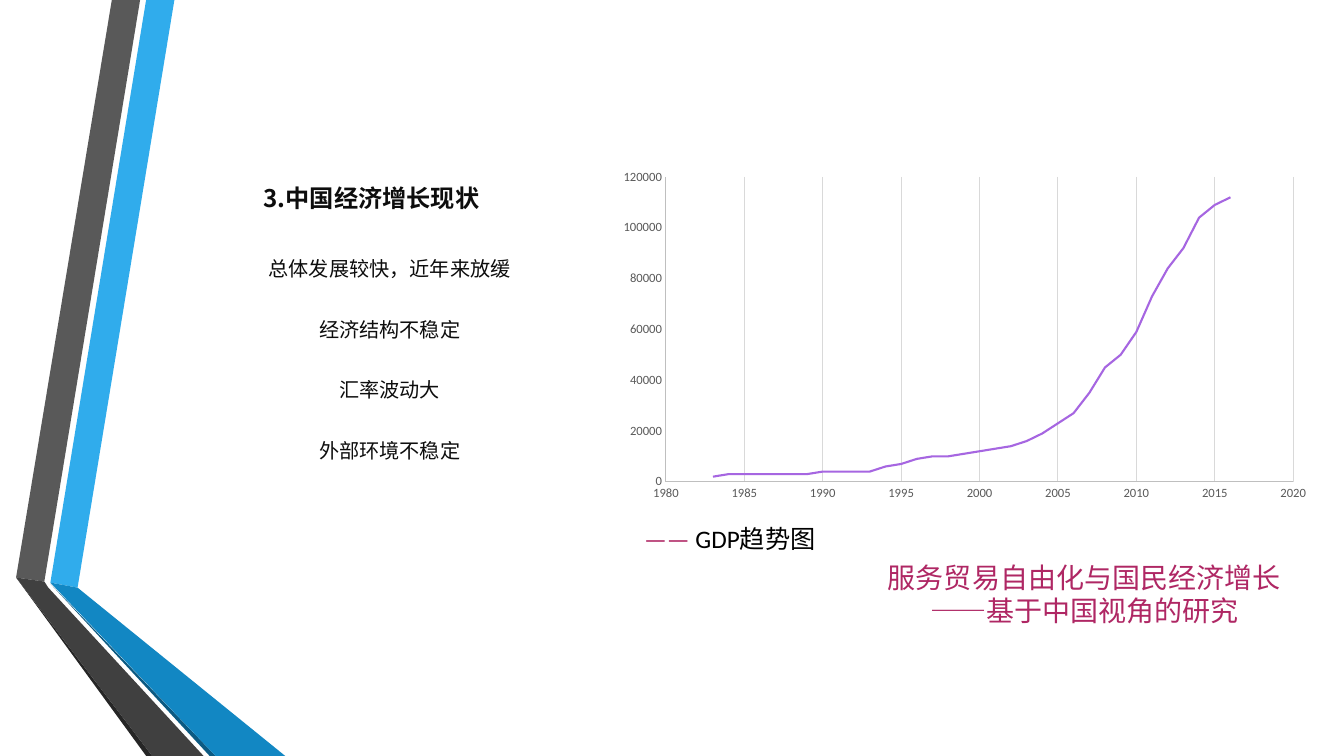
"""Build the slide on the state of China's economic growth."""
from dataclasses import dataclass

from lxml.etree import SubElement
from pptx import Presentation
from pptx.chart.data import XyChartData
from pptx.dml.color import RGBColor
from pptx.enum.chart import XL_CHART_TYPE as ChartType, XL_TICK_MARK as Tick
from pptx.enum.text import MSO_ANCHOR as Anchor, PP_ALIGN as Align
from pptx.oxml import parse_xml
from pptx.oxml.ns import nsdecls, qn
from pptx.util import Inches, Pt


@dataclass(frozen=True)
class Theme:
    """Colours, fonts and type sizes."""
    gray: str = "595959"
    gray_dark: str = "404040"
    gray_edge: str = "262626"
    blue: str = "30ACEC"
    blue_dark: str = "1287C3"
    blue_edge: str = "0C5A82"
    accent: str = "AF2764"
    ink: str = "0D0D0D"
    black: str = "000000"
    axis: str = "BFBFBF"
    grid: str = "D9D9D9"
    curve: str = "A666E1"
    latin: str = "Calibri"
    cjk: str = "Noto Sans CJK SC"
    subtitle: float = 20
    heading: float = 21.6
    body: float = 18
    tick: float = 9


@dataclass(frozen=True)
class Band:
    """A filled polygon with corners in inches."""
    color: str
    points: tuple


@dataclass(frozen=True)
class Line:
    """A centred paragraph of the main text."""
    text: str
    size: float
    bold: bool = False
    before: float = 21.6
    left: float = 0.36


T = Theme()

BANDS = (
    Band(T.blue, ((0.5, 5.78), (0.77, 5.83), (1.73, 0), (1.45, 0))),
    Band(T.gray, ((1.39, 0), (1.11, 0), (0.16, 5.73), (0.44, 5.77))),
    Band(T.gray_edge, ((0.16, 5.73), (1.45, 7.5), (1.51, 7.5))),
    Band(T.blue_edge, ((0.5, 5.79), (2.08, 7.5), (2.14, 7.5))),
    Band(T.blue_dark, ((0.5, 5.78), (2.14, 7.5), (2.83, 7.5), (0.77, 5.83))),
    Band(T.gray_dark, ((2.02, 7.5), (0.48, 5.83), (0.44, 5.77), (0.16, 5.73), (1.51, 7.5))),
)

LINES = (
    Line("3.中国经济增长现状", T.heading, True, 0, 0),
    Line("总体发展较快，近年来放缓", T.body, before=27),
    Line("经济结构不稳定", T.body),
    Line("汇率波动大", T.body),
    Line("外部环境不稳定", T.body),
)

FIRST_YEAR = 1983
GDP = (2000, 3000, 3000, 3000, 3000, 3000, 3000, 4000, 4000, 4000, 4000, 6000,
       7000, 9000, 10000, 10000, 11000, 12000, 13000, 14000, 16000, 19000,
       23000, 27000, 35000, 45000, 50000, 59000, 73000, 84000, 92000, 104000,
       109000, 112000)


def rgb(color: str) -> RGBColor:
    """Turn a hex string into a colour."""
    return RGBColor.from_string(color)


def style(font, size: float, color: str, name: str = T.latin) -> None:
    """Set the size, colour and typeface of a font."""
    font.size = Pt(size)
    font.color.rgb = rgb(color)
    font.name = name


def stroke(line, color: str, width: float) -> None:
    """Set the colour and width of a line."""
    line.color.rgb = rgb(color)
    line.width = Pt(width)


def add_band(s, band: Band) -> None:
    """Draw one polygon of the side ribbon."""
    first, *rest = [(Inches(x), Inches(y)) for x, y in band.points]
    builder = s.shapes.build_freeform(*first)
    builder.add_line_segments(rest, close=True)
    sp = builder.convert_to_shape()
    sp.shadow.inherit = False
    sp.fill.solid()
    sp.fill.fore_color.rgb = rgb(band.color)
    sp.line.fill.background()


def add_text(s, left: float, top: float, width: float, height: float, wrap: bool = True):
    """Add a text box and return its text frame."""
    sp = s.shapes.add_textbox(Inches(left), Inches(top), Inches(width), Inches(height))
    tf = sp.text_frame
    tf.word_wrap = wrap
    return tf


def add_shadow(r) -> None:
    """Give a run small capitals and a soft shadow."""
    rpr = r.font._element
    rpr.set("cap", "small")
    fill = rpr.find(qn("a:solidFill"))
    fill.addnext(parse_xml(
        f'<a:effectLst {nsdecls("a")}><a:outerShdw blurRad="38100" dist="19050" dir="2700000">'
        '<a:srgbClr val="000000"><a:alpha val="40000"/></a:srgbClr></a:outerShdw></a:effectLst>'))
    SubElement(rpr, qn("a:ea")).set("typeface", T.cjk)


def add_points(s) -> None:
    """Write the heading and its points."""
    tf = add_text(s, -1.73, 2.42, 10.83, 2.08)
    tf.vertical_anchor = Anchor.MIDDLE
    tf.margin_bottom = Inches(0.55)
    tf.text = "\n".join(line.text for line in LINES)
    for p, line in zip(tf.paragraphs, LINES):
        p.alignment = Align.CENTER
        p.line_spacing = Pt(21.6)
        p.space_before = Pt(line.before)
        p._p.get_or_add_pPr().set("marL", str(Inches(line.left)))
        r = p.runs[0]
        style(r.font, line.size, T.ink, T.cjk)
        r.font.bold = line.bold
        add_shadow(r)


def add_subtitle(s) -> None:
    """Write the title of the study."""
    tf = add_text(s, 8.69, 5.51, 4.13, 0.77, wrap=False)
    tf.text = "服务贸易自由化与国民经济增长\n——基于中国视角的研究"
    for p in tf.paragraphs:
        p.alignment = Align.CENTER
        style(p.runs[0].font, T.subtitle, T.accent)


def add_caption(s) -> None:
    """Write the caption under the chart."""
    p = add_text(s, 6.29, 5.14, 3.17, 0.4).paragraphs[0]
    for text, color in (("——", T.accent), (" GDP趋势图", T.black)):
        r = p.add_run()
        r.text = text
        style(r.font, T.body, color)


def set_axis(axis, low: float, high: float, step: float, grid: bool) -> None:
    """Set the scale and look of an axis."""
    axis.minimum_scale, axis.maximum_scale, axis.major_unit = low, high, step
    axis.major_tick_mark = axis.minor_tick_mark = Tick.NONE
    axis.has_major_gridlines = grid
    if grid:
        stroke(axis.major_gridlines.format.line, T.grid, 0.75)
    stroke(axis.format.line, T.axis, 0.75)
    style(axis.tick_labels.font, T.tick, T.gray)


def set_plot_area(chart, x: float, y: float, w: float, h: float) -> None:
    """Fix the inner plot area as fractions of the chart."""
    area = chart._chartSpace.chart.plotArea
    for old in area.findall(qn("c:layout")):
        area.remove(old)
    layout = SubElement(area, qn("c:layout"))
    area.insert(0, layout)
    manual = SubElement(layout, qn("c:manualLayout"))
    for tag, val in (("layoutTarget", "inner"), ("xMode", "edge"), ("yMode", "edge"),
                     ("x", x), ("y", y), ("w", w), ("h", h)):
        SubElement(manual, qn(f"c:{tag}")).set("val", str(val))


def add_gdp_chart(s) -> None:
    """Plot GDP by year."""
    data = XyChartData()
    series = data.add_series("GDP")
    for year, value in enumerate(GDP, FIRST_YEAR):
        series.add_data_point(year, value)
    chart = s.shapes.add_chart(ChartType.XY_SCATTER_LINES_NO_MARKERS, Inches(5.8),
                               Inches(1.54), Inches(7.32), Inches(3.6), data).chart
    chart.has_legend = chart.has_title = False
    style(chart.font, 10, T.black)
    set_axis(chart.category_axis, 1980, 2020, 5, True)
    set_axis(chart.value_axis, 0, 120000, 20000, False)
    curve = chart.plots[0].series[0]
    curve.smooth = False
    stroke(curve.format.line, T.curve, 1.5)
    set_plot_area(chart, 0.11, 0.06, 0.85, 0.84)


def main() -> None:
    """Assemble and save the slide."""
    prs = Presentation()
    prs.slide_width, prs.slide_height = Inches(13.33), Inches(7.5)
    s = prs.slides.add_slide(prs.slide_layouts[6])
    for band in BANDS:
        add_band(s, band)
    add_subtitle(s)
    add_points(s)
    add_gdp_chart(s)
    add_caption(s)
    prs.save("out.pptx")


if __name__ == "__main__":
    main()
